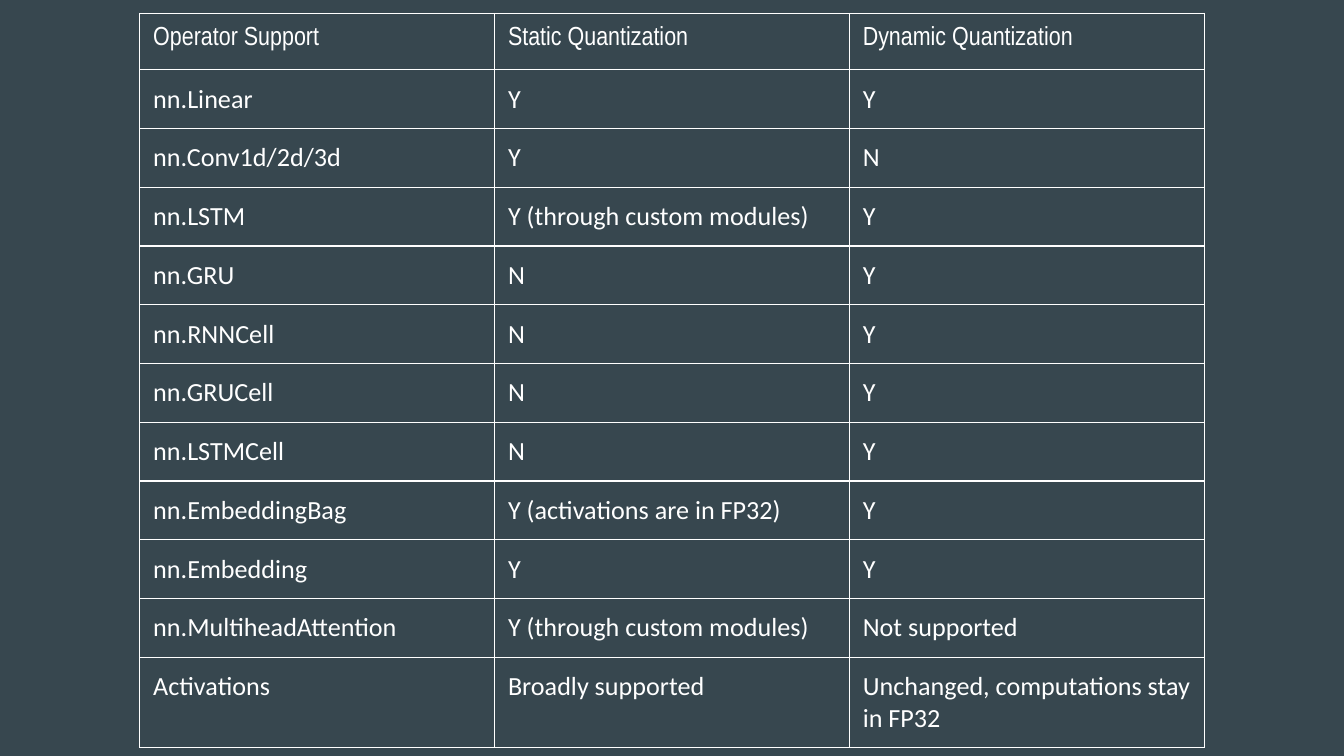
from lxml.etree import SubElement
from pptx import Presentation
from pptx.dml.color import RGBColor
from pptx.oxml.ns import qn
from pptx.util import Inches, Pt

BACKGROUND = "37474F"
WHITE = "FFFFFF"
ROW_HEIGHT = 0.42
COLUMN_WIDTH = 2.64

ROWS = [
    ("Operator Support", "Static Quantization", "Dynamic Quantization"),
    ("nn.Linear", "Y", "Y"),
    ("nn.Conv1d/2d/3d", "Y", "N"),
    ("nn.LSTM", "Y (through custom modules)", "Y"),
    ("nn.GRU", "N", "Y"),
    ("nn.RNNCell", "N", "Y"),
    ("nn.GRUCell", "N", "Y"),
    ("nn.LSTMCell", "N", "Y"),
    ("nn.EmbeddingBag", "Y (activations are in FP32)", "Y"),
    ("nn.Embedding", "Y", "Y"),
    ("nn.MultiheadAttention", "Y (through custom modules)", "Not supported"),
    ("Activations", "Broadly supported", "Unchanged, computations stay in FP32"),
]


def color(value):
    return RGBColor.from_string(value)


def add_borders(cell):
    properties = cell._tc.get_or_add_tcPr()
    for side in ("a:lnL", "a:lnR", "a:lnT", "a:lnB"):
        line = SubElement(properties, qn(side), w=str(Pt(0.75)))
        fill = SubElement(line, qn("a:solidFill"))
        SubElement(fill, qn("a:srgbClr"), val=WHITE)


# Widescreen slide (16:9) and background
deck = Presentation()
deck.slide_width = Inches(10)
deck.slide_height = Inches(10) * 9 // 16
page = deck.slides.add_slide(deck.slide_layouts[6])
page.background.fill.solid()
page.background.fill.fore_color.rgb = color(BACKGROUND)

# Operator support table
frame = page.shapes.add_table(
    len(ROWS), len(ROWS[0]), Inches(1.04), Inches(0.1),
    Inches(COLUMN_WIDTH * len(ROWS[0])), Inches(ROW_HEIGHT * len(ROWS)))
table = frame.table
table.first_row = False
table.horz_banding = False
for column in table.columns:
    column.width = Inches(COLUMN_WIDTH)
for row in table.rows:
    row.height = Inches(ROW_HEIGHT)

# Cell text, borders and fill
for row_index, texts in enumerate(ROWS):
    for column_index, text in enumerate(texts):
        cell = table.cell(row_index, column_index)
        cell.margin_left = cell.margin_right = Inches(0.1)
        cell.margin_top = cell.margin_bottom = Inches(0.1)
        add_borders(cell)
        cell.fill.background()
        span = cell.text_frame.paragraphs[0].add_run()
        span.text = text
        span.font.size = Pt(14)
        span.font.name = "Arial Narrow" if row_index == 0 else "Calibri"
        span.font.color.rgb = color(WHITE)

deck.save("out.pptx")
